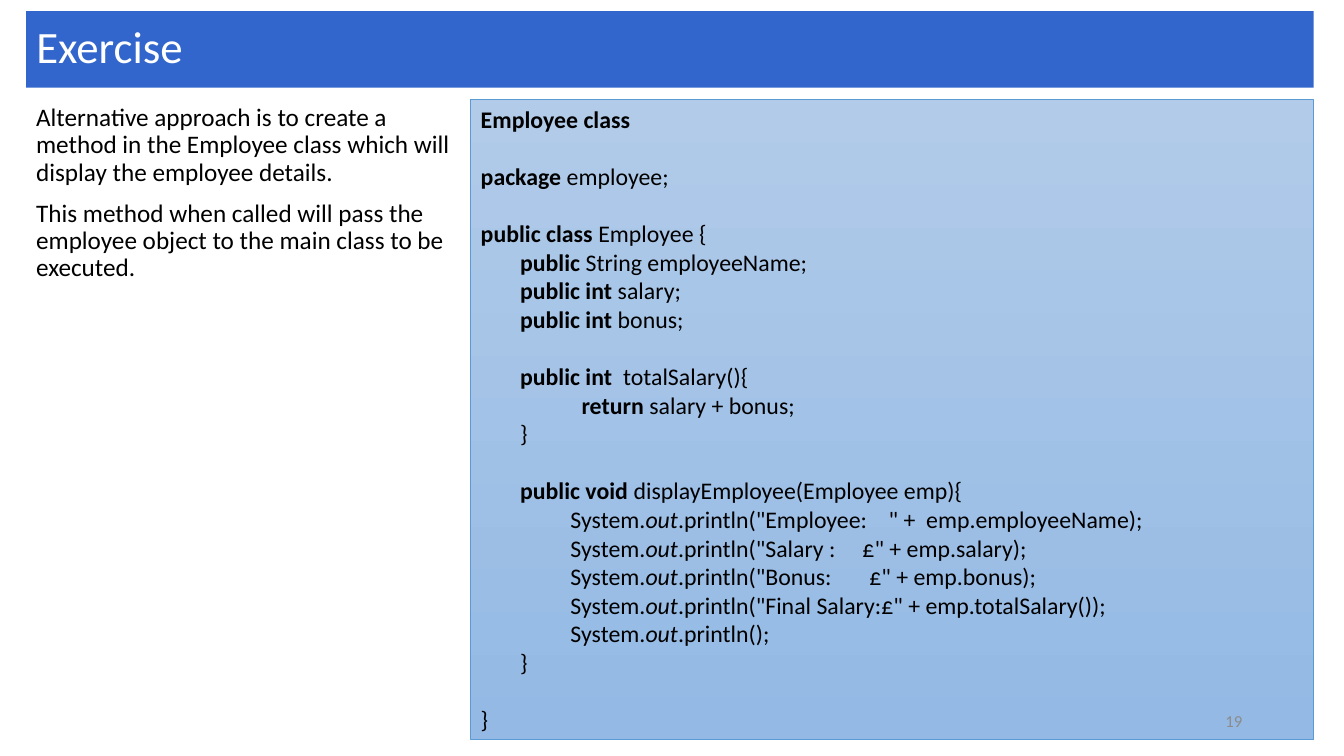
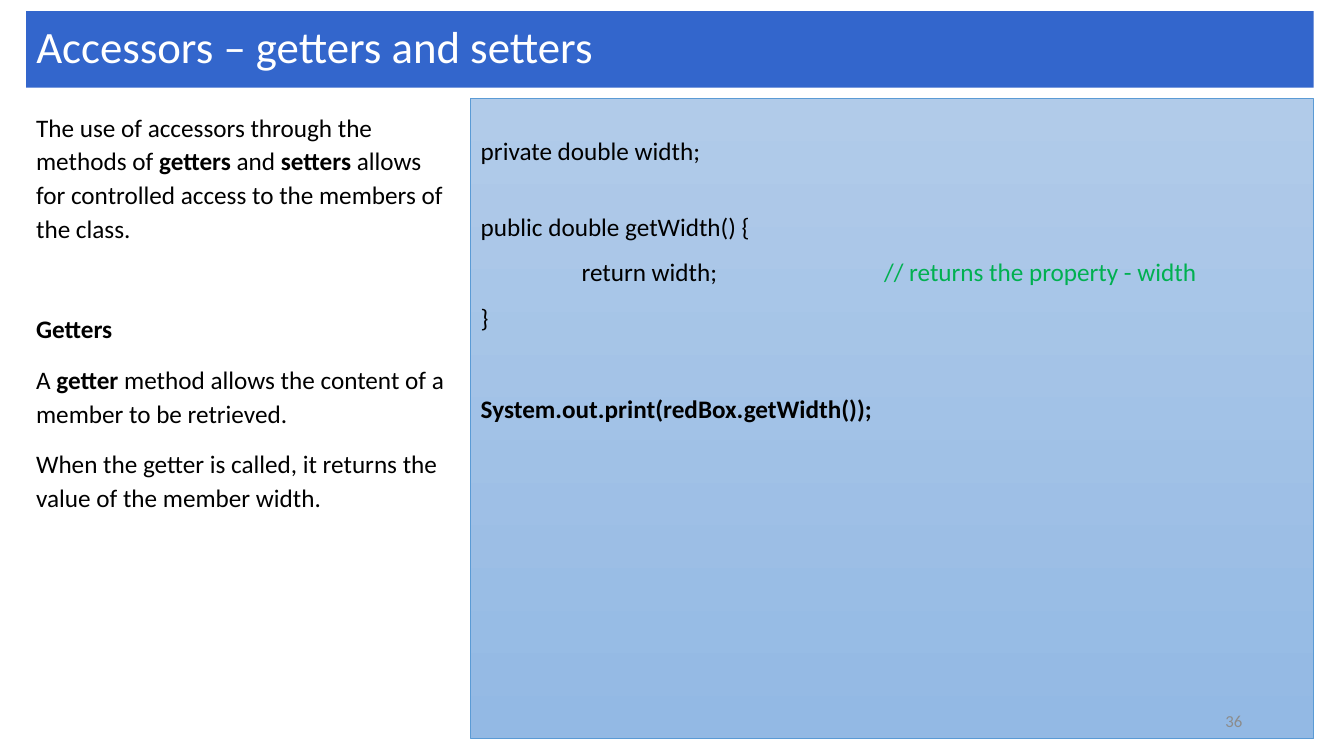
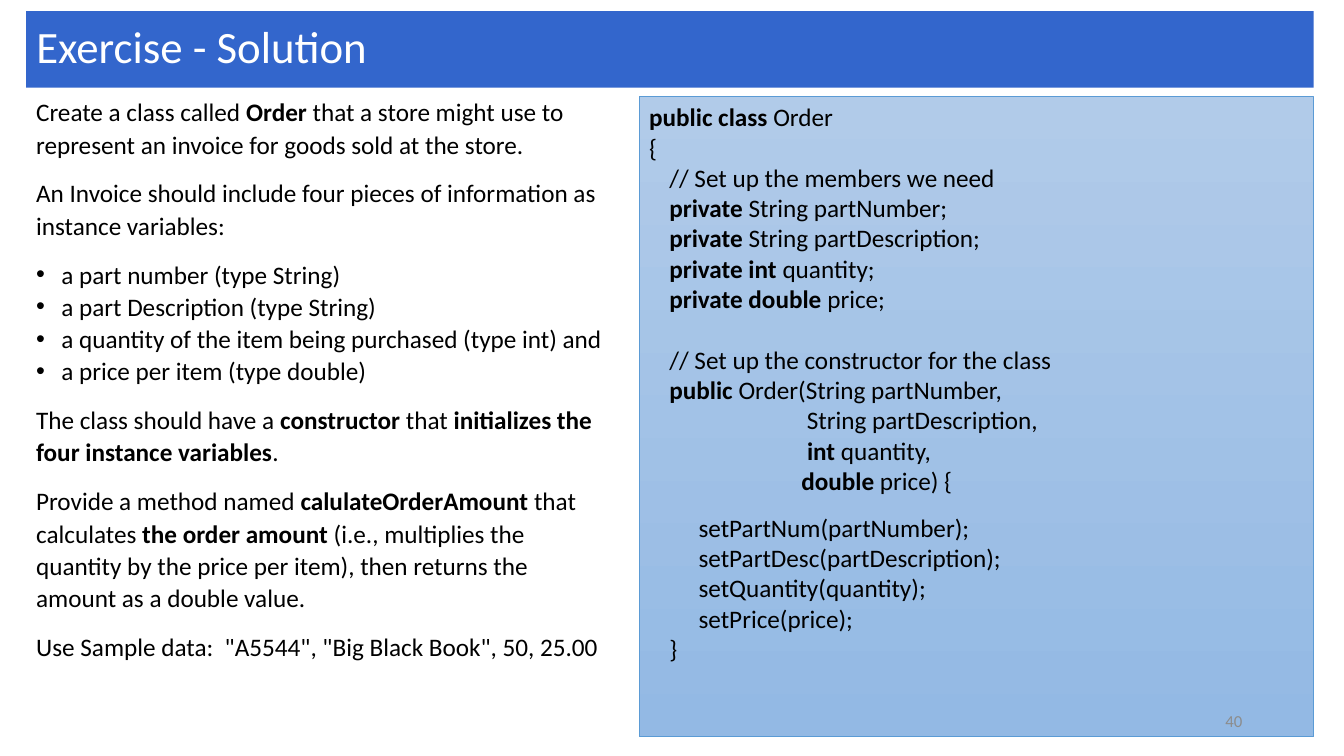
"""Build three Java teaching slides, each with notes beside a code panel."""
from dataclasses import dataclass

from lxml import etree
from pptx import Presentation
from pptx.dml.color import RGBColor
from pptx.enum.shapes import MSO_SHAPE
from pptx.enum.text import MSO_ANCHOR, MSO_AUTO_SIZE, PP_ALIGN
from pptx.oxml.ns import qn
from pptx.util import Inches, Length, Pt

RECTANGLE = MSO_SHAPE.RECTANGLE
TOP, MIDDLE = MSO_ANCHOR.TOP, MSO_ANCHOR.MIDDLE
LEFT, RIGHT = PP_ALIGN.LEFT, PP_ALIGN.RIGHT
NO_AUTOFIT = MSO_AUTO_SIZE.NONE

BLACK = RGBColor(0x00, 0x00, 0x00)
WHITE = RGBColor(0xFF, 0xFF, 0xFF)
TITLE_BLUE = RGBColor(0x33, 0x66, 0xCC)
PANEL_TOP = RGBColor(0xB1, 0xCB, 0xE9)
PANEL_BOTTOM = RGBColor(0x93, 0xB9, 0xE4)
PANEL_LINE = RGBColor(0x5B, 0x9B, 0xD5)
COMMENT_GREEN = RGBColor(0x00, 0xB0, 0x50)
NUMBER_GRAY = RGBColor(0x8C, 0x8C, 0x8C)

FONT = "Calibri"
TITLE_ONLY_LAYOUT = 5
MARGIN_LEFT = 0.26
MARGIN_RIGHT = 13.03
PANEL_HEIGHT = 6.35
BULLET_INDENT = Inches(0.25)


@dataclass(frozen=True)
class Line:
    """One paragraph; *stars* mark bold text and ~tildes~ italic text."""
    text: str
    before: float = 0
    after: float = 0
    spacing: float | Length = 1.0
    bullet: bool = False
    comment: str = ""


@dataclass(frozen=True)
class TextArea:
    """A block of paragraphs with its place, text size and tab stops."""
    left: float
    top: float
    width: float
    height: float
    lines: list[Line]
    size: int = 18
    tabs: tuple[float, ...] = ()
    inset_top: float = 0.05


@dataclass(frozen=True)
class Lesson:
    """The content of one slide."""
    title: str
    number: int
    notes: TextArea
    code: TextArea


def panel(left: float, top: float, lines: list[Line], size: int = 18,
          tabs: tuple[float, ...] = (), inset_top: float = 0.05) -> TextArea:
    """Return a code area that reaches the right margin."""
    return TextArea(left, top, MARGIN_RIGHT - left, PANEL_HEIGHT, lines, size, tabs, inset_top)


def style_font(paragraph, size: int, color: RGBColor) -> None:
    """Set the font that all runs of a paragraph share."""
    font = paragraph.font
    font.name, font.size = FONT, Pt(size)
    font.color.rgb = color


def add_runs(paragraph, line: Line) -> None:
    """Add the marked-up text and the coloured comment as runs."""
    for bold_index, bold_part in enumerate(line.text.split("*")):
        for italic_index, part in enumerate(bold_part.split("~")):
            if part:
                run = paragraph.add_run()
                run.text = part
                if bold_index % 2:
                    run.font.bold = True
                if italic_index % 2:
                    run.font.italic = True
    if line.comment:
        run = paragraph.add_run()
        run.text = line.comment
        run.font.color.rgb = COMMENT_GREEN


def add_bullet_and_tabs(paragraph, bullet: bool, tabs: tuple[float, ...]) -> None:
    """Add the bullet and tab elements to a paragraph."""
    properties = paragraph._p.get_or_add_pPr()
    if bullet:
        properties.set("marL", str(BULLET_INDENT))
        properties.set("indent", str(-BULLET_INDENT))
        etree.SubElement(properties, qn("a:buFont"), typeface="Arial")
        etree.SubElement(properties, qn("a:buChar"), char="•")
    if tabs:
        tab_list = etree.SubElement(properties, qn("a:tabLst"))
        for position in tabs:
            etree.SubElement(tab_list, qn("a:tab"), pos=str(Inches(position)), algn="l")


def fill_text(shape, area: TextArea) -> None:
    """Write the lines of an area into a shape."""
    frame = shape.text_frame
    frame.word_wrap = True
    frame.auto_size = NO_AUTOFIT
    frame.vertical_anchor = TOP
    frame.margin_top = Inches(area.inset_top)
    for index, line in enumerate(area.lines):
        paragraph = frame.add_paragraph() if index else frame.paragraphs[0]
        add_bullet_and_tabs(paragraph, line.bullet, area.tabs)
        paragraph.alignment = LEFT
        paragraph.line_spacing = line.spacing
        paragraph.space_before = Pt(line.before)
        paragraph.space_after = Pt(line.after)
        style_font(paragraph, area.size, BLACK)
        add_runs(paragraph, line)


def area_box(area: TextArea) -> tuple[Length, ...]:
    """Return left, top, width and height of an area as lengths."""
    return tuple(Inches(value) for value in (area.left, area.top, area.width, area.height))


def add_title(slide, text: str) -> None:
    """Turn the title placeholder into the blue band."""
    title = slide.shapes.title
    title.left, title.top = Inches(MARGIN_LEFT), Inches(0.11)
    title.width, title.height = Inches(MARGIN_RIGHT - MARGIN_LEFT), Inches(0.76)
    title.fill.solid()
    title.fill.fore_color.rgb = TITLE_BLUE
    frame = title.text_frame
    frame.text = text
    frame.auto_size = NO_AUTOFIT
    frame.vertical_anchor = MIDDLE
    paragraph = frame.paragraphs[0]
    paragraph.alignment = LEFT
    paragraph.line_spacing = 0.9
    style_font(paragraph, 32, WHITE)


def add_code_panel(slide, area: TextArea) -> None:
    """Draw the gradient panel with its code."""
    shape = slide.shapes.add_shape(RECTANGLE, *area_box(area))
    shape.shadow.inherit = False
    shape.fill.gradient()
    shape.fill.gradient_angle = 270
    for stop, color in zip(shape.fill.gradient_stops, (PANEL_TOP, PANEL_BOTTOM)):
        stop.color.rgb = color
    shape.line.color.rgb = PANEL_LINE
    shape.line.width = Pt(0.5)
    fill_text(shape, area)


def add_slide_number(slide, number: int) -> None:
    """Write the slide number at the lower right."""
    box = slide.shapes.add_textbox(Inches(9.42), Inches(6.95), Inches(3), Inches(0.4))
    frame = box.text_frame
    frame.word_wrap = True
    frame.vertical_anchor = MIDDLE
    frame.text = str(number)
    paragraph = frame.paragraphs[0]
    paragraph.alignment = RIGHT
    style_font(paragraph, 12, NUMBER_GRAY)


def add_lesson(presentation, lesson: Lesson) -> None:
    """Add one slide."""
    slide = presentation.slides.add_slide(presentation.slide_layouts[TITLE_ONLY_LAYOUT])
    add_title(slide, lesson.title)
    fill_text(slide.shapes.add_textbox(*area_box(lesson.notes)), lesson.notes)
    add_code_panel(slide, lesson.code)
    add_slide_number(slide, lesson.number)


CODE_GAP = 20.4
GETTER_NOTE = {"after": 12, "spacing": Pt(24)}
ORDER_NOTE = {"after": 12, "spacing": Pt(23)}
ORDER_ITEM = {"bullet": True, "spacing": Pt(23)}

LESSONS = [
    Lesson(
        "Exercise", 19,
        TextArea(MARGIN_LEFT, 0.99, 4.31, 6.25, [
            Line("Alternative approach is to create a method in the Employee class which will "
                 "display the employee details.", spacing=0.9),
            Line("This method when called will pass the employee object to the main class to be "
                 "executed.", before=10, spacing=0.9),
        ]),
        panel(4.67, 0.99, [
            Line("*Employee class*"),
            Line("*package* employee;", before=CODE_GAP),
            Line("*public class* Employee {", before=CODE_GAP),
            Line("\t*public* String employeeName;"),
            Line("\t*public int* salary;"),
            Line("\t*public int* bonus;"),
            Line("\t*public int  *totalSalary(){", before=CODE_GAP),
            Line("\t\t\t*return* salary + bonus;"),
            Line("\t}"),
            Line("\t*public void *displayEmployee(Employee emp){", before=CODE_GAP),
            Line('\t\tSystem.~out~.println("Employee:    " +  emp.employeeName);'),
            Line('\t\tSystem.~out~.println("Salary :     £" + emp.salary);'),
            Line('\t\tSystem.~out~.println("Bonus:       £" + emp.bonus);'),
            Line('\t\tSystem.~out~.println("Final Salary:£" + emp.totalSalary());'),
            Line("\t\tSystem.~out~.println();"),
            Line("\t}"),
            Line("}", before=CODE_GAP),
        ], size=17, tabs=(0.39, 0.89, 1)),
    ),
    Lesson(
        "Accessors – getters and setters", 36,
        TextArea(MARGIN_LEFT, 1.03, 4.31, 6.25, [
            Line("The use of accessors through the methods of *getters* and *setters* allows for "
                 "controlled access to the members of the class.", **GETTER_NOTE),
            Line("*Getters*", before=36, **GETTER_NOTE),
            Line("A *getter* method allows the content of a member to be retrieved.",
                 **GETTER_NOTE),
            Line("When the getter is called, it returns the value of the member width.",
                 **GETTER_NOTE),
        ]),
        panel(4.67, 0.98, [
            Line("private double width;"),
            Line("public double getWidth() {", before=22, spacing=1.5),
            Line("\treturn width;\t", spacing=1.5, comment="// returns the property - width"),
            Line("}", spacing=1.5),
            Line("*System.out.print(redBox.getWidth());*", before=33, spacing=1.5),
        ], tabs=(1, 4), inset_top=0.36),
    ),
    Lesson(
        "Exercise - Solution", 40,
        TextArea(MARGIN_LEFT, 0.89, 5.85, 6.49, [
            Line("Create a class called *Order *that a store might use to represent an invoice "
                 "for goods sold at the store.", **ORDER_NOTE),
            Line("An Invoice should include four pieces of information as instance variables:",
                 **ORDER_NOTE),
            Line("a part number (type String)", **ORDER_ITEM),
            Line("a part Description (type String)", **ORDER_ITEM),
            Line("a quantity of the item being purchased (type int) and", **ORDER_ITEM),
            Line("a price per item (type double)", after=12, **ORDER_ITEM),
            Line("The class should have a *constructor* that *initializes the four instance "
                 "variables*.", **ORDER_NOTE),
            Line("Provide a method named *calulateOrderAmount *that calculates *the order "
                 "amount* (i.e., multiplies the quantity by the price per item), then returns "
                 "the amount as a double value.", **ORDER_NOTE),
            Line('Use Sample data:  "A5544", "Big Black Book", 50, 25.00', **ORDER_NOTE),
        ]),
        panel(6.34, 0.96, [
            Line("*public class* Order"),
            Line("{"),
            Line("\t// Set up the members we need"),
            Line("\t*private* String partNumber;"),
            Line("\t*private* String partDescription;"),
            Line("\t*private int* quantity;"),
            Line("\t*private double* price;"),
            Line("\t// Set up the constructor for the class", before=22),
            Line("\t*public* Order(String partNumber,"),
            Line("\t\t\t          String partDescription,"),
            Line("\t\t\t          *int* quantity,"),
            Line("\t\t\t         *double* price) {", after=12),
            Line("\t\tsetPartNum(partNumber);"),
            Line("\t\tsetPartDesc(partDescription);"),
            Line("\t\tsetQuantity(quantity);"),
            Line("\t\tsetPrice(price);"),
            Line("\t}"),
        ], tabs=(0.2, 0.49, 1)),
    ),
]


def main() -> None:
    """Build and save the presentation."""
    presentation = Presentation()
    presentation.slide_width = Inches(13.33)
    presentation.slide_height = Inches(7.5)
    for lesson in LESSONS:
        add_lesson(presentation, lesson)
    presentation.save("out.pptx")


if __name__ == "__main__":
    main()
